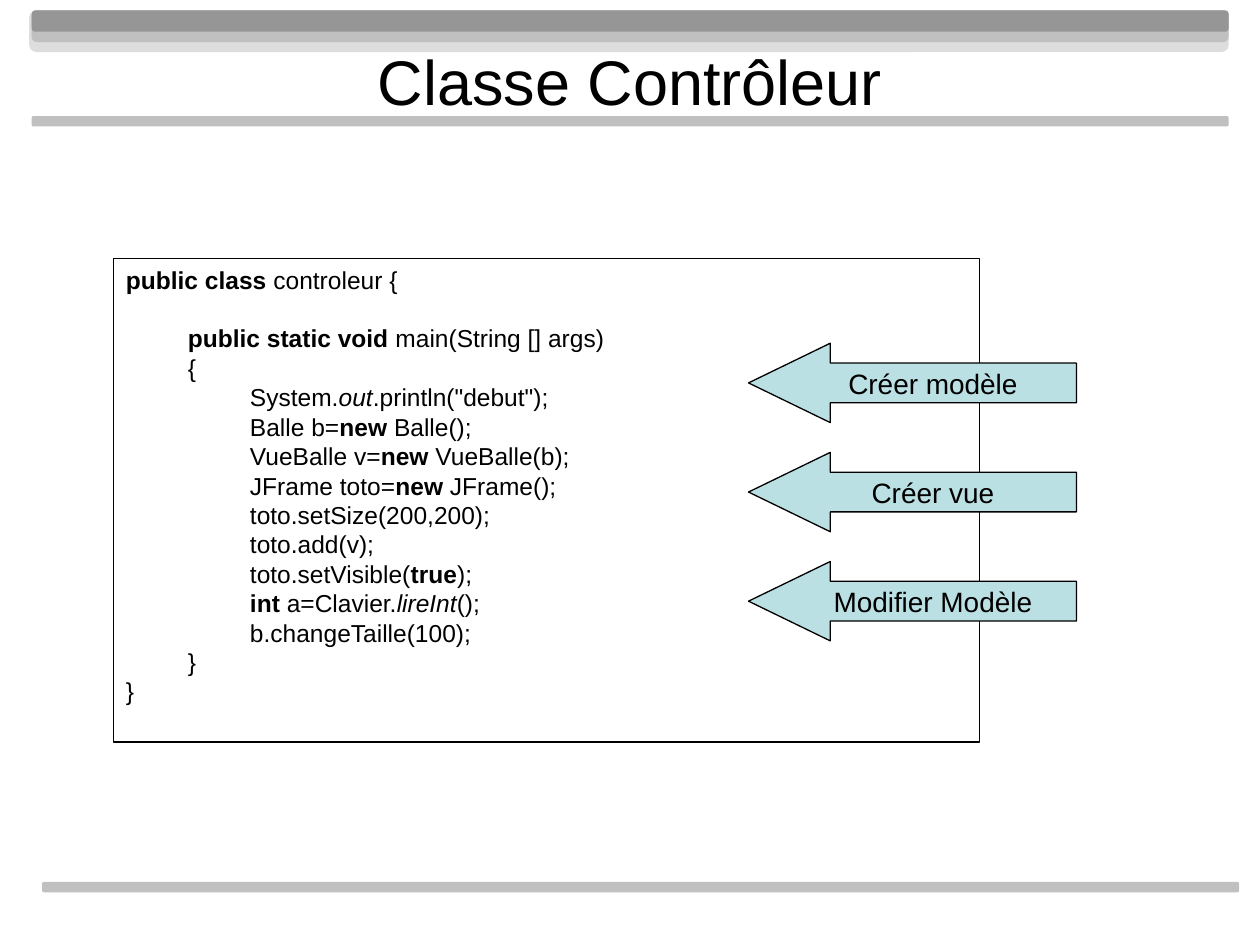
from dataclasses import dataclass

import pptx
import pptx.dml.color
import pptx.enum.shapes
import pptx.enum.text
import pptx.oxml
import pptx.oxml.ns
import pptx.util

Cm = pptx.util.Cm
Pt = pptx.util.Pt
SHAPES = pptx.enum.shapes.MSO_SHAPE
ALIGN = pptx.enum.text.PP_ALIGN
ANCHOR = pptx.enum.text.MSO_ANCHOR


@dataclass(frozen=True)
class Theme:
    font: str = "Arial"
    ink: str = "000000"
    arrow: str = "BBE0E3"
    band_light: str = "DDDDDD"
    band_mid: str = "C0C0C0"
    band_dark: str = "969696"
    title_size: float = 36
    arrow_size: float = 16
    code_size: float = 14
    code_leading: float = 16.8
    outline: float = 0.75


THEME = Theme()
TAB_STEP = 1.25

PLAIN, BOLD, ITALIC = "plain", "bold", "italic"

CODE = [
    [("public class", BOLD), (" controleur {", PLAIN)],
    [("\tpublic static void", BOLD), (" main(String [] args)", PLAIN)],
    [("\t{", PLAIN)],
    [("\t\tSystem.", PLAIN), ("out", ITALIC), ('.println("debut");', PLAIN)],
    [("\t\tBalle b=", PLAIN), ("new", BOLD), (" Balle();", PLAIN)],
    [("\t\tVueBalle v=", PLAIN), ("new", BOLD), (" VueBalle(b);", PLAIN)],
    [("\t\tJFrame toto=", PLAIN), ("new", BOLD), (" JFrame();", PLAIN)],
    [("\t\ttoto.setSize(200,200);", PLAIN)],
    [("\t\ttoto.add(v);", PLAIN)],
    [("\t\ttoto.setVisible(", PLAIN), ("true", BOLD), (");", PLAIN)],
    [("\t\tint", BOLD), (" a=Clavier.", PLAIN), ("lireInt", ITALIC), ("();", PLAIN)],
    [("\t\tb.changeTaille(100);", PLAIN)],
    [("\t}", PLAIN)],
    [("}", PLAIN)],
]
MAIN_LINE = 1  # set off from the class line by one line of space

STEPS = ["Créer modèle", "Créer vue", "Modifier Modèle"]


def rgb(value):
    return pptx.dml.color.RGBColor.from_string(value)


def set_font(paragraph, size):
    paragraph.font.name = THEME.font
    paragraph.font.size = Pt(size)
    paragraph.font.color.rgb = rgb(THEME.ink)


def add_tabs(paragraph, count):
    properties = paragraph._p.get_or_add_pPr()
    tabs = pptx.oxml.parse_xml(f"<a:tabLst {pptx.oxml.ns.nsdecls('a')}/>")
    for number in range(1, count + 1):
        tab = tabs.makeelement(pptx.oxml.ns.qn("a:tab"),
                               {"pos": str(Cm(TAB_STEP * number)), "algn": "l"})
        tabs.append(tab)
    properties.append(tabs)


def add_box(slide, kind, box, fill=None, outlined=False):
    """Add a flat shape; box is left, top, width, height in centimetres."""
    shape = slide.shapes.add_shape(kind, *map(Cm, box))
    shape.shadow.inherit = False
    if fill:
        shape.fill.solid()
        shape.fill.fore_color.rgb = rgb(fill)
    else:
        shape.fill.background()
    if outlined:
        shape.line.color.rgb = rgb(THEME.ink)
        shape.line.width = Pt(THEME.outline)
    else:
        shape.line.fill.background()
    return shape


def add_bands(slide, box):
    left, top, width, height = box
    bar = 0.21
    bands = [
        (left - 0.05, top, width + 0.05, 0.84, THEME.band_light),
        (left, top, width, 0.64, THEME.band_mid),
        (left, top, width, 0.43, THEME.band_dark),
        (left, top + 2.13, width, bar, THEME.band_mid),
        (left + 0.21, top + height - bar, width, bar, THEME.band_mid),
    ]
    for *band, colour in bands:
        add_box(slide, SHAPES.ROUNDED_RECTANGLE, band, colour)


def place_title(slide, box, text):
    title = slide.shapes.title
    title.left, title.top, title.width, title.height = map(Cm, box)
    title.element.getparent().append(title.element)  # in front of the bands
    frame = title.text_frame
    frame.text = text
    frame.auto_size = pptx.enum.text.MSO_AUTO_SIZE.NONE
    frame.vertical_anchor = ANCHOR.MIDDLE
    frame.paragraphs[0].alignment = ALIGN.CENTER
    set_font(frame.paragraphs[0], THEME.title_size)


def add_code(slide, box, lines):
    frame = add_box(slide, SHAPES.RECTANGLE, box, outlined=True).text_frame
    frame.word_wrap = True
    frame.vertical_anchor = ANCHOR.TOP
    for number, line in enumerate(lines):
        paragraph = frame.add_paragraph() if number else frame.paragraphs[0]
        add_tabs(paragraph, 2)
        paragraph.alignment = ALIGN.LEFT
        paragraph.line_spacing = Pt(THEME.code_leading)
        if number == MAIN_LINE:
            paragraph.space_before = Pt(THEME.code_leading)
        set_font(paragraph, THEME.code_size)
        for text, style in line:
            run = paragraph.add_run()
            run.text = text
            if style == BOLD:
                run.font.bold = True
            elif style == ITALIC:
                run.font.italic = True


def add_steps(slide, box, labels):
    """Spread one left arrow per label evenly down the box."""
    left, top, width, height = box
    arrow_height = 1.6
    pitch = (height - arrow_height) / (len(labels) - 1)
    for number, label in enumerate(labels):
        arrow = add_box(slide, SHAPES.LEFT_ARROW,
                        (left, top + number * pitch, width, arrow_height),
                        THEME.arrow, outlined=True)
        arrow.adjustments[0] = 0.5
        arrow.adjustments[1] = 1.03
        frame = arrow.text_frame
        frame.word_wrap = False
        frame.vertical_anchor = ANCHOR.MIDDLE
        paragraph = frame.paragraphs[0]
        paragraph.text = label
        paragraph.alignment = ALIGN.CENTER
        set_font(paragraph, THEME.arrow_size)


def main():
    deck = pptx.Presentation()
    deck.slide_width, deck.slide_height = Cm(25.4), Cm(19.05)
    slide = deck.slides.add_slide(deck.slide_layouts.get_by_name("Title Only"))
    add_bands(slide, (0.64, 0.21, 24.13, 17.78))
    place_title(slide, (0, 0.85, 25.4, 1.52), "Classe Contrôleur")
    add_code(slide, (2.29, 5.21, 17.46, 9.75), CODE)
    add_steps(slide, (15.09, 6.92, 6.61, 6), STEPS)
    deck.save("out.pptx")


if __name__ == "__main__":
    main()
